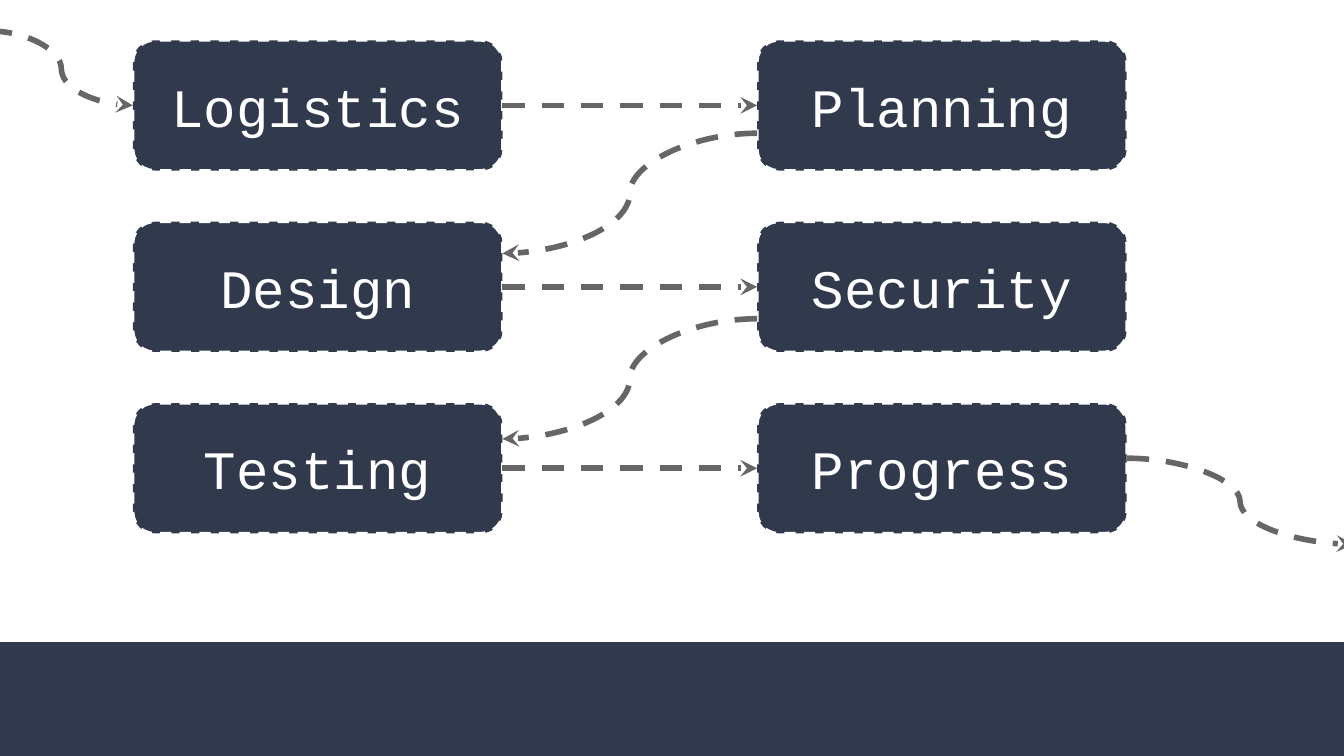
from dataclasses import dataclass

from lxml.etree import SubElement
from pptx import Presentation
from pptx.dml.color import RGBColor
from pptx.enum.dml import MSO_LINE
from pptx.enum.shapes import MSO_CONNECTOR, MSO_SHAPE
from pptx.enum.text import MSO_ANCHOR, PP_ALIGN
from pptx.oxml.ns import qn
from pptx.util import Pt

TOP, LEFT, BOTTOM, RIGHT = range(4)  # connection sites of a rectangle


@dataclass(frozen=True)
class Theme:
    navy: RGBColor = RGBColor(0x31, 0x39, 0x4D)
    white: RGBColor = RGBColor(0xFF, 0xFF, 0xFF)
    grey: RGBColor = RGBColor(0x66, 0x66, 0x66)
    font: str = "Courier New"
    step_size: float = 29
    border: float = 1.5
    arrow: float = 3


class FlowSlide:
    def __init__(self, slide, theme):
        self.shapes = slide.shapes
        self.theme = theme

    def block(self, kind, left, top, width, height):
        """Add a navy shape without outline or shadow."""
        block = self.shapes.add_shape(kind, Pt(left), Pt(top), Pt(width), Pt(height))
        block.shadow.inherit = False
        block.fill.solid()
        block.fill.fore_color.rgb = self.theme.navy
        block.line.fill.background()
        return block

    def step(self, label, left, top, width, height):
        step = self.block(MSO_SHAPE.ROUNDED_RECTANGLE, left, top, width, height)
        step.line.color.rgb = self.theme.white
        step.line.width = Pt(self.theme.border)
        step.line.dash_style = MSO_LINE.DASH

        frame = step.text_frame
        frame.word_wrap = True
        frame.vertical_anchor = MSO_ANCHOR.MIDDLE
        frame.margin_left = frame.margin_right = Pt(7.2)
        frame.margin_top = frame.margin_bottom = Pt(7.2)
        paragraph = frame.paragraphs[0]
        paragraph.text = label
        paragraph.alignment = PP_ALIGN.CENTER
        paragraph.font.name = self.theme.font
        paragraph.font.size = Pt(self.theme.step_size)
        paragraph.font.color.rgb = self.theme.white
        return step

    def arrow(self, start, end):
        """Add a dashed curved arrow between two (x, y) points."""
        arrow = self.shapes.add_connector(
            MSO_CONNECTOR.CURVE, *(Pt(value) for value in (*start, *end))
        )
        arrow.line.color.rgb = self.theme.grey
        arrow.line.width = Pt(self.theme.arrow)
        arrow.line.dash_style = MSO_LINE.DASH
        SubElement(arrow.line._get_or_add_ln(), qn("a:tailEnd"), type="stealth")
        SubElement(arrow._element.spPr, qn("a:effectLst"))
        return arrow


SLIDE_WIDTH, SLIDE_HEIGHT = 720, 405
BAND_TOP = 344
STEP_WIDTH, STEP_HEIGHT = 198, 69.8
LEFT_COLUMN, RIGHT_COLUMN = 71.2, 405.6
FIRST_ROW, ROW_PITCH = 21.6, 97.2
STEP_ROWS = [("Logistics", "Planning"), ("Design", "Security"), ("Testing", "Progress")]
RETURN_STARTS = [71.4, 170.8]
RETURN_DROP = 64.4


def main():
    presentation = Presentation()
    presentation.slide_width = Pt(SLIDE_WIDTH)
    presentation.slide_height = Pt(SLIDE_HEIGHT)
    slide = presentation.slides.add_slide(presentation.slide_layouts[6])
    flow = FlowSlide(slide, Theme())

    flow.block(MSO_SHAPE.RECTANGLE, 0, BAND_TOP, SLIDE_WIDTH, SLIDE_HEIGHT - BAND_TOP)

    left_edge = LEFT_COLUMN + STEP_WIDTH
    first_middle = FIRST_ROW + STEP_HEIGHT / 2
    left_steps = []
    for row, (left_label, right_label) in enumerate(STEP_ROWS):
        top = FIRST_ROW + row * ROW_PITCH
        middle = first_middle + row * ROW_PITCH
        left_step = flow.step(left_label, LEFT_COLUMN, top, STEP_WIDTH, STEP_HEIGHT)
        right_step = flow.step(right_label, RIGHT_COLUMN, top, STEP_WIDTH, STEP_HEIGHT)
        left_steps.append(left_step)
        across = flow.arrow((left_edge, middle), (RIGHT_COLUMN, middle))
        across.begin_connect(left_step, RIGHT)
        across.end_connect(right_step, LEFT)

    for start in RETURN_STARTS:
        flow.arrow((RIGHT_COLUMN, start), (left_edge, start + RETURN_DROP))

    incoming = flow.arrow((-5.5, 16.6), (LEFT_COLUMN, first_middle))
    incoming.end_connect(left_steps[0], LEFT)
    flow.arrow((RIGHT_COLUMN + STEP_WIDTH, 245.5), (725, 291.6))

    presentation.save("out.pptx")


if __name__ == "__main__":
    main()
